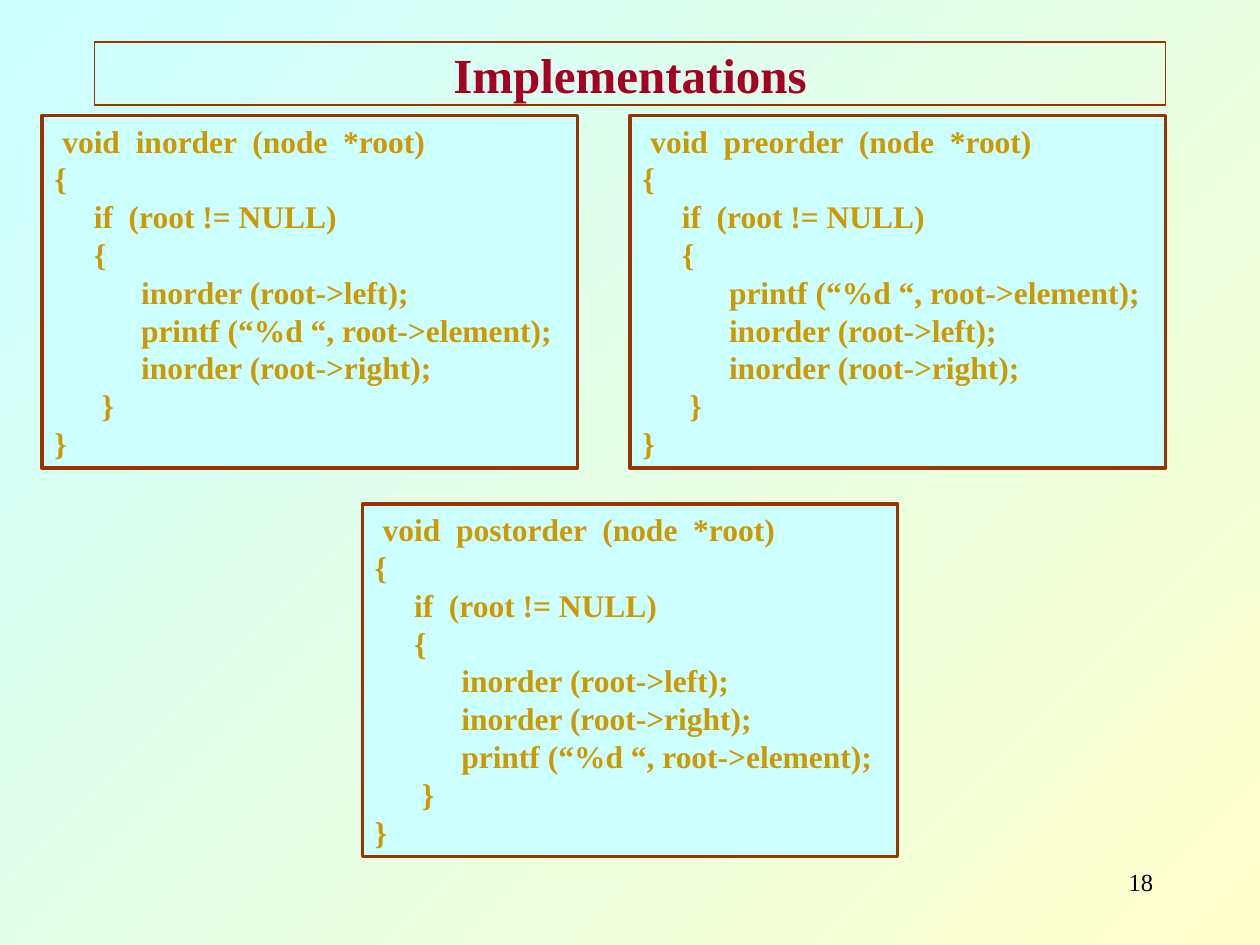
"""Build a slide showing three binary tree traversal functions."""
from pptx import Presentation
from pptx import util as u
from pptx.dml.color import RGBColor
from pptx.enum import shapes, text

CYAN = RGBColor(0xCC, 0xFF, 0xFF)
CREAM = RGBColor(0xFF, 0xFF, 0xCC)
BROWN = RGBColor(0x99, 0x33, 0x00)
CRIMSON = RGBColor(0xA5, 0x00, 0x21)
GOLD = RGBColor(0xCC, 0x99, 0x00)
BLACK = RGBColor(0x00, 0x00, 0x00)

SPACE = 4.5
PANEL_SIZE = (306, 201.6)
LEFT = "inorder (root->left);"
RIGHT = "inorder (root->right);"
PRINT = "printf (“%d “, root->element);"
PANELS = [
    ("inorder", (24, 66), (LEFT, PRINT, RIGHT)),
    ("preorder", (360, 66), (PRINT, LEFT, RIGHT)),
    ("postorder", (207, 288), (LEFT, RIGHT, PRINT)),
]


def assign(target, values):
    for name, value in values.items():
        setattr(target, name, value)


def traversal_lines(name, body):
    return [
        (1, f"void  {name}  (node  *root)"),
        (0, "{"),
        (5, "if  (root != NULL)"),
        (5, "{"),
        *((11, statement) for statement in body),
        (6, "}"),
        (0, "}"),
    ]


class Slide:
    FONT = "Times New Roman"
    FRAME = {
        "word_wrap": True,
        "margin_left": u.Pt(7.2),
        "margin_right": u.Pt(7.2),
        "margin_top": u.Pt(3.6),
        "margin_bottom": u.Pt(3.6),
    }

    def __init__(self, deck):
        self.page = deck.slides.add_slide(deck.slide_layouts[5])

    def background(self, start, end, angle):
        fill = self.page.background.fill
        fill.gradient()
        fill.gradient_angle = angle
        for stop, color in zip(fill.gradient_stops, (start, end)):
            stop.color.rgb = color

    def outline(self, box, width):
        box.line.color.rgb = BROWN
        box.line.width = u.Pt(width)

    def fill_text(self, box, lines, size, color, bold, align, **frame_values):
        frame = box.text_frame
        assign(frame, {**self.FRAME, **frame_values})
        for index, (indent, line) in enumerate(lines):
            para = frame.add_paragraph() if index else frame.paragraphs[0]
            para.alignment = align
            if indent:
                margin = u.Pt(indent * SPACE)
                para._p.get_or_add_pPr().set("marL", str(margin))
            span = para.add_run()
            span.text = line
            assign(span.font, {"name": self.FONT, "size": u.Pt(size), "bold": bold})
            span.font.color.rgb = color

    def title(self, words, left, top, width, height):
        box = self.page.shapes.title
        place = {"left": left, "top": top, "width": width, "height": height}
        assign(box, {side: u.Pt(value) for side, value in place.items()})
        self.outline(box, 0.75)
        self.fill_text(box, [(0, words)], 28, CRIMSON, True, text.PP_ALIGN.CENTER,
                       vertical_anchor=text.MSO_ANCHOR.MIDDLE,
                       auto_size=text.MSO_AUTO_SIZE.NONE)

    def code_panel(self, lines, left, top, width, height):
        box = self.page.shapes.add_shape(
            shapes.MSO_SHAPE.RECTANGLE, *map(u.Pt, (left, top, width, height)))
        box.shadow.inherit = False
        box.fill.solid()
        box.fill.fore_color.rgb = CYAN
        self.outline(box, 2)
        self.fill_text(box, lines, 18, GOLD, True, text.PP_ALIGN.LEFT,
                       vertical_anchor=text.MSO_ANCHOR.TOP,
                       auto_size=text.MSO_AUTO_SIZE.SHAPE_TO_FIT_TEXT)

    def page_number(self, number, left, top, width, height):
        box = self.page.shapes.add_textbox(*map(u.Pt, (left, top, width, height)))
        self.fill_text(box, [(0, str(number))], 14, BLACK, False, text.PP_ALIGN.RIGHT)


def main():
    deck = Presentation()
    assign(deck, {"slide_width": u.Pt(720), "slide_height": u.Pt(540)})
    slide = Slide(deck)
    slide.background(CREAM, CYAN, 135)
    slide.title("Implementations", 54, 24, 612, 36)
    for name, corner, body in PANELS:
        slide.code_panel(traversal_lines(name, body), *corner, *PANEL_SIZE)
    slide.page_number(18, 516, 492, 150, 36)
    deck.save("out.pptx")


if __name__ == "__main__":
    main()
